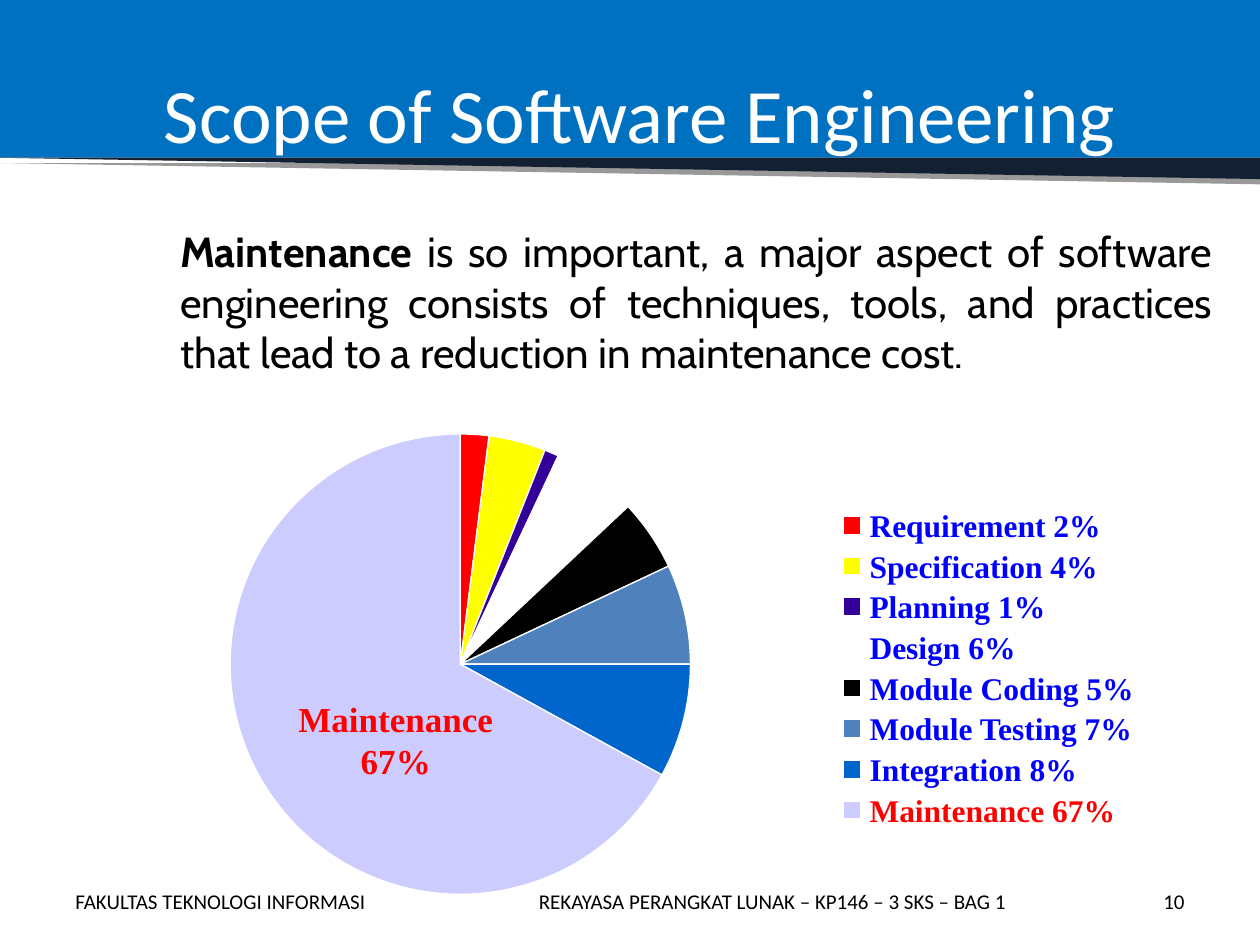
import pptx
import pptx.chart.data
import pptx.dml.color
import pptx.enum.chart
import pptx.enum.shapes
import pptx.enum.text
import pptx.oxml
import pptx.util
from pptx.util import Cm

COLORS = {
    "banner": "0070C0", "wedge": "122031", "white": "FFFFFF", "black": "000000",
    "label": "0000FF", "red": "FF0000", "yellow": "FFFF00", "purple": "330099",
    "steel": "4F81BD", "blue": "0066CC", "lavender": "CCCCFF",
}
PHASES = [
    ("Requirement", 2, "red"), ("Specification", 4, "yellow"),
    ("Planning", 1, "purple"), ("Design", 6, "white"),
    ("Module Coding", 5, "black"), ("Module Testing", 7, "steel"),
    ("Integration", 8, "blue"), ("Maintenance", 67, "lavender"),
]
DRAWING = 'xmlns:a="http://schemas.openxmlformats.org/drawingml/2006/main"'
CHART = 'xmlns:c="http://schemas.openxmlformats.org/drawingml/2006/chart"'
ALIGN = pptx.enum.text.PP_ALIGN
ANCHOR = pptx.enum.text.MSO_ANCHOR
SHAPE = pptx.enum.shapes.MSO_SHAPE


def color(name):
    """Return the named colour."""
    return pptx.dml.color.RGBColor.from_string(COLORS[name])


def write(shape, *runs, font="Calibri", size=12, fill="black", bold=False,
          align=ALIGN.LEFT, anchor=ANCHOR.TOP, padded=True, wrap=True):
    """Write one paragraph; each run is text or a (text, bold) pair."""
    frame = shape.text_frame
    frame.word_wrap = wrap
    frame.auto_size = pptx.enum.text.MSO_AUTO_SIZE.NONE
    frame.vertical_anchor = anchor
    frame.margin_left = frame.margin_right = Cm(0.25 if padded else 0)
    frame.margin_top = frame.margin_bottom = Cm(0.13 if padded else 0)
    paragraph = frame.paragraphs[0]
    paragraph.alignment = align
    paragraph.space_before = pptx.util.Pt(0)
    for item in runs:
        text, strong = (item, bold) if isinstance(item, str) else item
        for index, line in enumerate(text.split("\n")):
            if index:
                paragraph.add_line_break()
            run = paragraph.add_run()
            run.text = line
            run.font.name = font
            run.font.size = pptx.util.Pt(size)
            run.font.bold = strong
            run.font.color.rgb = color(fill)
    return paragraph


class Builder:
    """Holds the outline style and the current slide."""

    def __init__(self, slide, outline="white", outline_width=0.75):
        self.slide = slide
        self.outline = outline
        self.outline_width = pptx.util.Pt(outline_width)

    def placeholder(self, index, box, *runs, **style):
        """Move and fill a template placeholder."""
        shape = self.slide.placeholders[index]
        shape.left, shape.top, shape.width, shape.height = map(Cm, box)
        return write(shape, *runs, **style)

    def text(self, box, *runs, **style):
        """Add a text box."""
        return write(self.slide.shapes.add_textbox(*map(Cm, box)), *runs, **style)

    def shape(self, kind, box, fill, outlined=False):
        """Add a flat preset shape."""
        shape = self.slide.shapes.add_shape(kind, *map(Cm, box))
        shape.shadow.inherit = False
        shape.fill.solid()
        shape.fill.fore_color.rgb = color(fill)
        if outlined:
            self.edge(shape.line)
        else:
            shape.line.fill.background()
        return shape

    def edge(self, line):
        """Apply the outline style to a line."""
        line.color.rgb = color(self.outline)
        line.width = self.outline_width

    def send_to_back(self, *shapes):
        """Put shapes behind everything else, in the order given."""
        for index, shape in enumerate(shapes):
            self.slide.shapes._spTree.insert(2 + index, shape._element)

    def pie(self, box, phases, inset):
        """Add a pie chart whose circle keeps a relative inset in its frame."""
        data = pptx.chart.data.CategoryChartData()
        data.categories = [name for name, _, _ in phases]
        data.add_series("Share (%)", [share for _, share, _ in phases])
        chart = self.slide.shapes.add_chart(
            pptx.enum.chart.XL_CHART_TYPE.PIE, *map(Cm, box), data).chart
        chart.has_legend = chart.has_title = False
        chart.font.name = "Times New Roman"
        chart.font.size = pptx.util.Pt(18)
        plot = chart.plots[0]
        plot.vary_by_categories = True
        for index, (_, _, fill) in enumerate(phases):
            point = plot.series[0].points[index].format
            point.fill.solid()
            point.fill.fore_color.rgb = color(fill)
            self.edge(point.line)
        extent = 1 - 2 * inset
        area = chart._chartSpace.chart.plotArea
        for old in area.xpath("c:layout"):
            area.remove(old)
        area.insert(0, pptx.oxml.parse_xml(
            f'<c:layout {CHART}><c:manualLayout><c:layoutTarget val="inner"/>'
            '<c:xMode val="edge"/><c:yMode val="edge"/>'
            f'<c:x val="{inset}"/><c:y val="{inset}"/>'
            f'<c:w val="{extent}"/><c:h val="{extent}"/>'
            '</c:manualLayout></c:layout>'))

    def legend(self, phases, left, top, step):
        """Add one swatch and label for each phase."""
        for index, (name, share, fill) in enumerate(phases):
            y = top + index * step
            self.shape(SHAPE.RECTANGLE, (left, y + 0.21, 0.36, 0.36), fill, True)
            self.text((left + 0.53, y, 5.8, 0.77), f"{name} {share}%",
                      font="Times New Roman", size=18, bold=True, padded=False,
                      fill="red" if name == "Maintenance" else "label")


def main():
    """Build and save the slide."""
    presentation = pptx.Presentation()
    presentation.slide_width, presentation.slide_height = Cm(25.4), Cm(19.05)
    builder = Builder(presentation.slides.add_slide(presentation.slide_layouts[1]))

    banner = builder.shape(SHAPE.RECTANGLE, (0, 0, 25.4, 3.18), "banner")
    wedge = builder.shape(SHAPE.RIGHT_TRIANGLE, (0, 3.18, 25.4, 0.43), "wedge")
    wedge.rotation = 180
    wedge._element.spPr.xpath("a:effectLst")[0].append(pptx.oxml.parse_xml(
        f'<a:outerShdw {DRAWING} dist="38100" dir="5400000" rotWithShape="0">'
        '<a:srgbClr val="000000"><a:alpha val="40000"/></a:srgbClr></a:outerShdw>'))
    builder.send_to_back(banner, wedge)

    builder.placeholder(0, (2.11, 0.15, 21.59, 3.18), "Scope of Software Engineering",
                        size=44, fill="white", align=ALIGN.CENTER, anchor=ANCHOR.BOTTOM)
    body = builder.placeholder(
        1, (3.38, 4.42, 21.31, 3.3), ("Maintenance", True),
        " is so important, a major aspect of software engineering consists of "
        "techniques, tools, and practices that lead to a reduction in maintenance cost.",
        font="Cabin", size=24, align=ALIGN.JUSTIFY)
    properties = body._p.get_or_add_pPr()
    properties.set("marL", "0")
    properties.set("indent", "0")
    properties.append(pptx.oxml.parse_xml(f"<a:buNone {DRAWING}/>"))

    builder.pie((4.28, 8.39, 10, 10), PHASES, inset=0.036)
    builder.legend(PHASES, left=17, top=10.2, step=0.82)
    builder.text((5.77, 13.94, 4.42, 1.96), "Maintenance\n67%", font="Times New Roman",
                 size=20, fill="red", bold=True, align=ALIGN.CENTER, wrap=False)

    for left, width, align, text in [
        (1.27, 6.55, ALIGN.LEFT, "FAKULTAS TEKNOLOGI INFORMASI"),
        (8.69, 13.77, ALIGN.CENTER, "REKAYASA PERANGKAT LUNAK – KP146 – 3 SKS – BAG 1"),
        (18.21, 5.92, ALIGN.RIGHT, "10"),
    ]:
        builder.text((left, 17.65, width, 1.02), text, align=align, anchor=ANCHOR.MIDDLE)
    presentation.save("out.pptx")


main()
